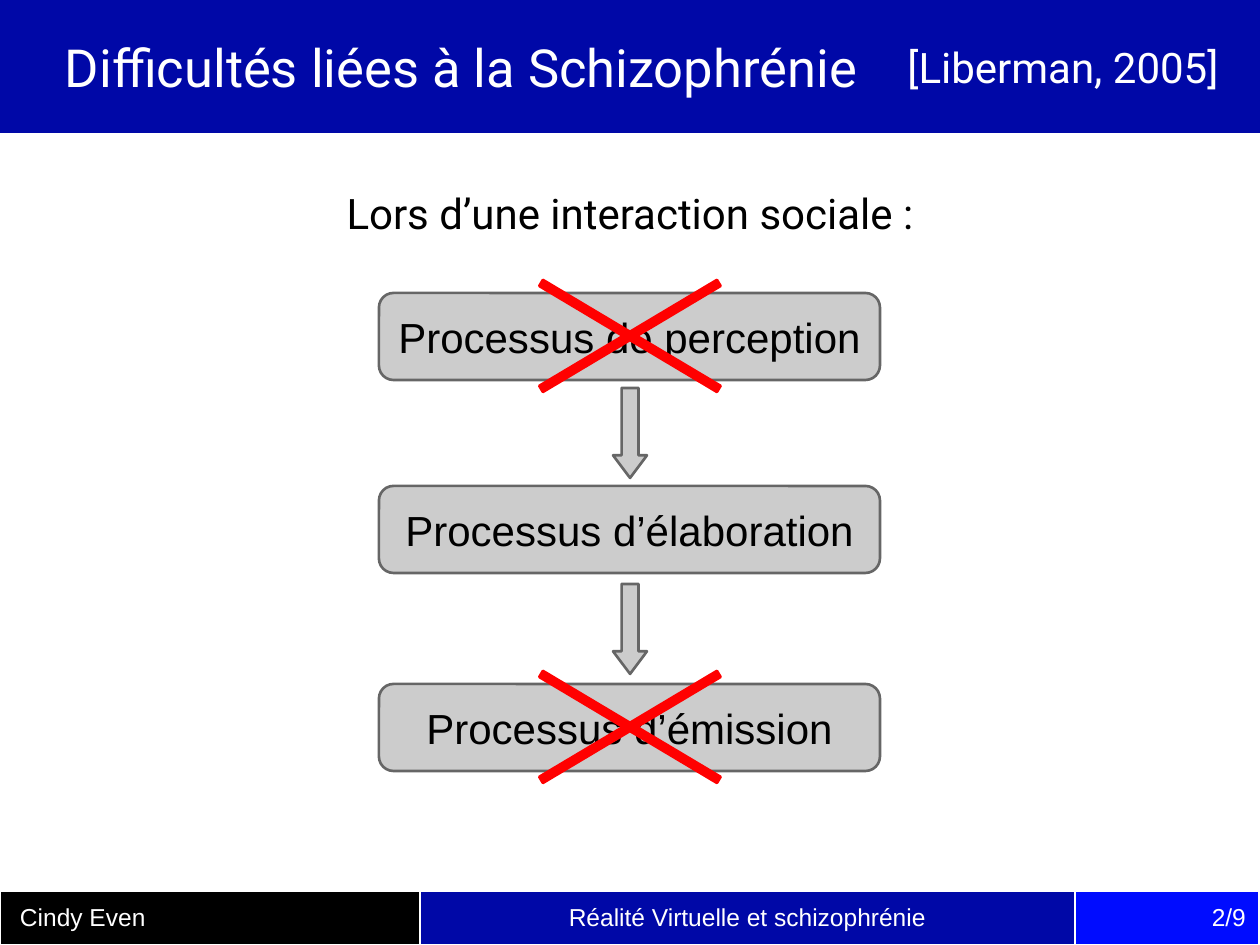
import pptx
import pptx.dml.color
import pptx.enum.shapes
import pptx.enum.text
import pptx.util

PX = pptx.util.Inches(1) / 126
INSET = 13
SHAPE = pptx.enum.shapes.MSO_SHAPE
ALIGN = pptx.enum.text.PP_ALIGN
MIDDLE = pptx.enum.text.MSO_ANCHOR.MIDDLE


def paint(color_format, hex_color):
    color_format.fill.solid()
    color_format.fill.fore_color.rgb = pptx.dml.color.RGBColor.from_string(hex_color)


def write(frame, text, size, font_name, hex_color, align=ALIGN.CENTER):
    frame.word_wrap = True
    frame.margin_left = frame.margin_right = round(INSET * PX)
    frame.margin_top = frame.margin_bottom = round(INSET * PX)
    frame.text = text
    paragraph = frame.paragraphs[0]
    paragraph.alignment = align
    font = paragraph.runs[0].font
    font.size = pptx.util.Pt(size)
    font.name = font_name
    paint(font, hex_color)


deck = pptx.Presentation()
deck.slide_width = round(1260 * PX)
deck.slide_height = round(945 * PX)
slide = deck.slides.add_slide(deck.slide_layouts[6])

footer = slide.shapes.add_table(
    1, 3, 0, round(891 * PX), round(1259 * PX), round(54 * PX)).table
footer_parts = [
    ("Cindy Even", 420, "000000", ALIGN.LEFT, 20),
    ("Réalité Virtuelle et schizophrénie", 655, "0008A7", ALIGN.CENTER, INSET),
    ("2/9", 184, "000CFF", ALIGN.RIGHT, INSET),
]
for column, (text, width, color, align, left_inset) in enumerate(footer_parts):
    footer.columns[column].width = round(width * PX)
    part = footer.cell(0, column)
    paint(part, color)
    write(part.text_frame, text, 14, "Arial", "FFFFFF", align)
    part.margin_left = round(left_inset * PX)
    part.margin_right = part.margin_top = part.margin_bottom = round(INSET * PX)

banner = slide.shapes.add_shape(SHAPE.RECTANGLE, 0, 0, round(1260 * PX), round(133 * PX))
banner.shadow.inherit = False
paint(banner, "0008A7")
banner.line.fill.background()
write(banner.text_frame, "Difficultés liées à la Schizophrénie", 30, "Roboto", "FFFFFF", ALIGN.LEFT)
banner.text_frame.margin_left = round(65 * PX)
banner.text_frame.vertical_anchor = MIDDLE

intro = slide.shapes.add_textbox(
    round(259 * PX), round(175 * PX), round(742 * PX), round(641 * PX)).text_frame
write(intro, "Lors d’une interaction sociale :", 24, "Roboto", "000000")
intro.paragraphs[0].space_before = pptx.util.Pt(6)

citation = slide.shapes.add_textbox(
    round(867 * PX), round(28 * PX), round(392 * PX), round(78 * PX)).text_frame
write(citation, "[Liberman, 2005]", 24, "Roboto", "FFFFFF")
citation.vertical_anchor = MIDDLE

processes = [
    ("Processus de perception", 293),
    ("Processus d’élaboration", 486),
    ("Processus d’émission", 684),
]
diagram = [(SHAPE.ROUNDED_RECTANGLE, 379, top, 501, 87, 0, [0.167], "CCCCCC", "666666", text)
           for text, top in processes]
diagram += [(SHAPE.RIGHT_ARROW, 585, top, 90, 34, 90, [0.5, 0.667], "CCCCCC", "666666", "")
            for top in (416, 612)]
diagram += [(SHAPE.MATH_MULTIPLY, 459, top, 342, 204, 0, [0.035], "FF0000", "FF0000", "")
            for top in (234, 625)]

for kind, left, top, width, height, turn, adjustments, fill, outline, text in diagram:
    item = slide.shapes.add_shape(
        kind, round(left * PX), round(top * PX), round(width * PX), round(height * PX))
    item.shadow.inherit = False
    item.rotation = turn
    for index, value in enumerate(adjustments):
        item.adjustments[index] = value
    paint(item, fill)
    paint(item.line, outline)
    item.line.width = pptx.util.Pt(1.5)
    if text:
        write(item.text_frame, text, 24, "Arial", "000000")
        item.text_frame.vertical_anchor = MIDDLE

deck.save("out.pptx")
